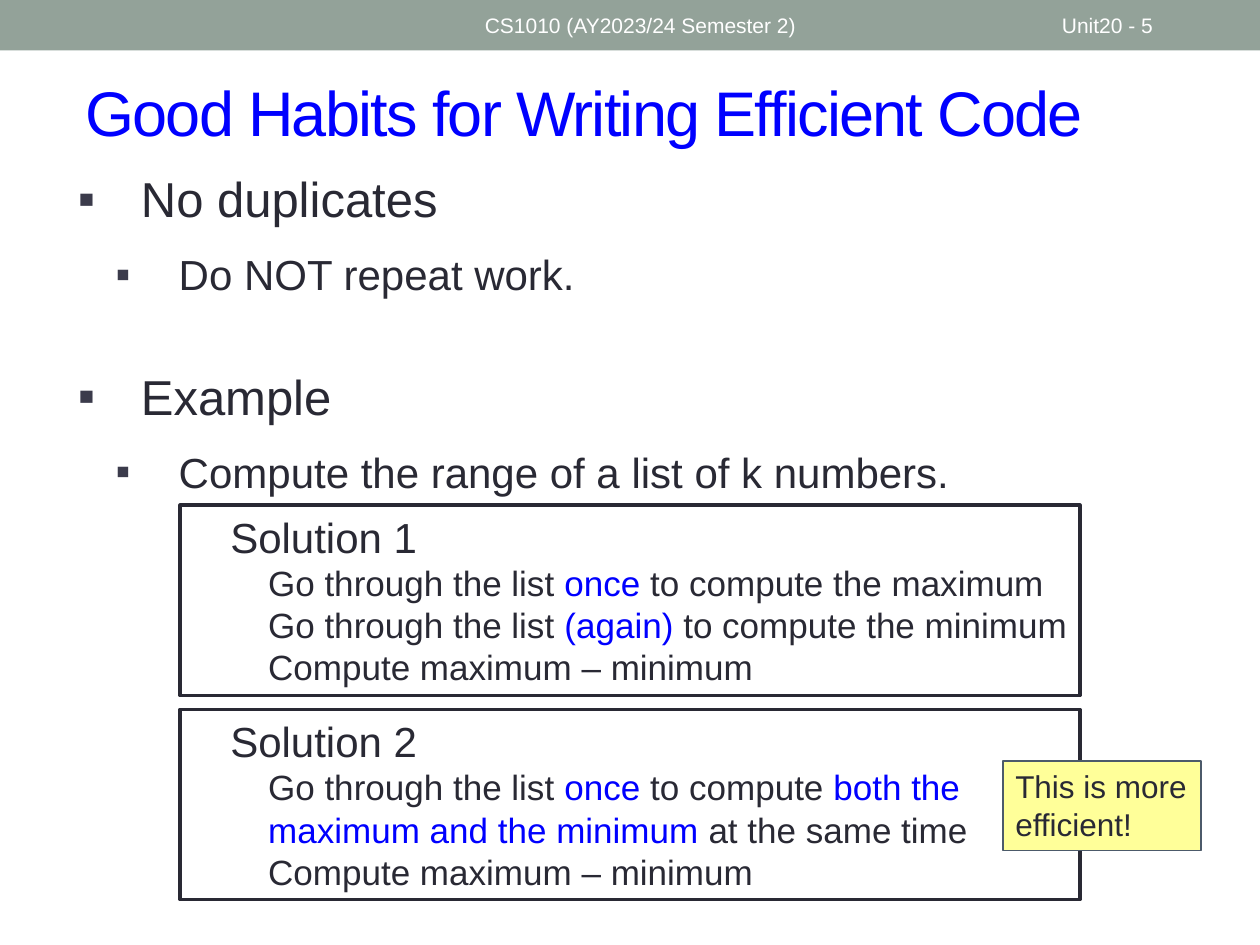
from dataclasses import dataclass

from lxml import etree
from pptx import Presentation
from pptx.dml.color import RGBColor
from pptx.enum import shapes, text
from pptx.oxml.ns import qn
from pptx.util import Inches, Pt


@dataclass(frozen=True)
class Theme:
    font: str = "Arial"
    ink: str = "292934"
    accent: str = "0000FF"
    bullet: str = "3B3B4B"
    band: str = "93A299"
    white: str = "FFFFFF"
    note: str = "FFFF99"
    note_line: str = "4C5A6A"
    title: int = 36
    topic: int = 28
    point: int = 24
    step: int = 20
    note_size: int = 18
    header: int = 12


@dataclass(frozen=True)
class Bullet:
    words: str
    size: int
    margin: float
    before: float = 12


@dataclass(frozen=True)
class Solution:
    top: float
    heading: str
    steps: tuple[str, ...]  # text between asterisks is highlighted


T = Theme()

BULLETS = (
    Bullet("No duplicates", T.topic, 0.5),
    Bullet("Do NOT repeat work.", T.point, 0.8),
    Bullet("Example", T.topic, 0.5, before=38.4),
    Bullet("Compute the range of a list of k numbers.", T.point, 0.8),
)

SOLUTIONS = (
    Solution(4.01, "Solution 1", (
        "Go through the list *once* to compute the maximum",
        "Go through the list *(again) *to compute the minimum",
        "Compute maximum – minimum",
    )),
    Solution(5.63, "Solution 2", (
        "Go through the list *once* to compute "
        "*both the maximum and the minimum* at the same time",
        "Compute maximum – minimum",
    )),
)


def write(p, words: str, *, size: int, color: str = T.ink, margin: float = 0,
          hanging: float = 0, before: float = 0, spacing: float = 0) -> None:
    """Fill a paragraph, colouring the parts between asterisks."""
    p.alignment = text.PP_ALIGN.LEFT
    p.space_before = Pt(before)
    pPr = p._p.get_or_add_pPr()
    pPr.set("marL", str(Inches(margin)))
    pPr.set("indent", str(Inches(-hanging)))
    for i, part in enumerate(words.split("*")):
        r = p.add_run()
        r.text = part
        r.font.name = T.font
        r.font.size = Pt(size)
        r.font.color.rgb = RGBColor.from_string(T.accent if i % 2 else color)
        if spacing:
            r._r.get_or_add_rPr().set("spc", str(int(spacing * 100)))


def add_bullet(p, char: str = "▪") -> None:
    pPr = p._p.get_or_add_pPr()
    color = etree.SubElement(pPr, qn("a:buClr"))
    etree.SubElement(color, qn("a:srgbClr")).set("val", T.bullet)
    etree.SubElement(pPr, qn("a:buFont")).set("typeface", T.font)
    etree.SubElement(pPr, qn("a:buChar")).set("char", char)


def paragraphs(tf, count: int) -> list:
    return [tf.paragraphs[0]] + [tf.add_paragraph() for _ in range(count - 1)]


def add_text(slide, left: float, top: float, width: float, height: float,
             anchor=text.MSO_ANCHOR.MIDDLE):
    sp = slide.shapes.add_textbox(Inches(left), Inches(top), Inches(width), Inches(height))
    tf = sp.text_frame
    tf.word_wrap = True
    tf.vertical_anchor = anchor
    return tf


def add_box(slide, left: float, top: float, width: float, height: float,
            fill: str, line: str = "", weight: float = 1):
    sp = slide.shapes.add_shape(shapes.MSO_SHAPE.RECTANGLE, Inches(left), Inches(top),
                                Inches(width), Inches(height))
    sp.shadow.inherit = False
    sp.fill.solid()
    sp.fill.fore_color.rgb = RGBColor.from_string(fill)
    if line:
        sp.line.color.rgb = RGBColor.from_string(line)
        sp.line.width = Pt(weight)
    else:
        sp.line.fill.background()
    tf = sp.text_frame
    tf.word_wrap = True
    tf.vertical_anchor = text.MSO_ANCHOR.TOP
    return tf


def add_solution(slide, solution: Solution) -> None:
    tf = add_box(slide, 1.43, solution.top, 7.14, 1.51, T.white, T.ink, 2.08)
    heading, *steps = paragraphs(tf, 1 + len(solution.steps))
    write(heading, solution.heading, size=T.point, margin=0.3)
    for p, step in zip(steps, solution.steps):
        write(p, step, size=T.step, margin=0.6)


def main() -> None:
    prs = Presentation()
    prs.slide_width, prs.slide_height = Inches(10), Inches(7.5)
    slide = prs.slides.add_slide(prs.slide_layouts[6])

    # Header band
    add_box(slide, 0, 0, 10, 0.4, T.band)
    for left, width, words in ((3.75, 4.5, "CS1010 (AY2023/24 Semester 2)"),
                               (8.33, 1.17, "Unit20 - 5")):
        tf = add_text(slide, left, 0.02, width, 0.36)
        write(tf.paragraphs[0], words, size=T.header, color=T.white)

    # Title
    tf = add_text(slide, 0.58, 0.42, 9.17, 0.92)
    write(tf.paragraphs[0], "Good Habits for Writing Efficient Code",
          size=T.title, color=T.accent, spacing=-1)

    # Bullets
    tf = add_text(slide, 0.52, 1.29, 8.69, 5.79, text.MSO_ANCHOR.TOP)
    for p, b in zip(paragraphs(tf, len(BULLETS)), BULLETS):
        write(p, b.words, size=b.size, margin=b.margin, hanging=0.5, before=b.before)
        add_bullet(p)

    # Solutions and the remark on the second one
    for solution in SOLUTIONS:
        add_solution(slide, solution)
    tf = add_box(slide, 7.96, 6.04, 1.57, 0.71, T.note, T.note_line)
    write(tf.paragraphs[0], "This is more efficient!", size=T.note_size)

    prs.save("out.pptx")


if __name__ == "__main__":
    main()
